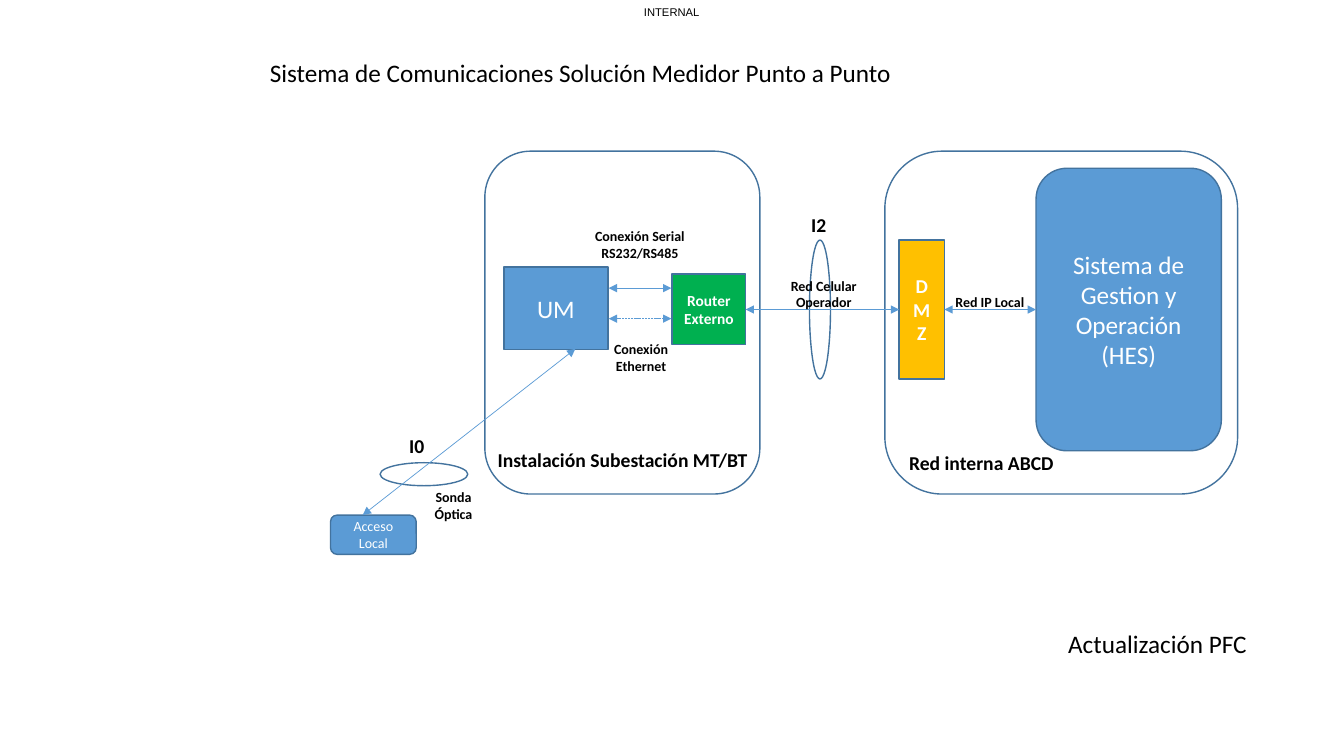
from dataclasses import dataclass

from lxml.etree import SubElement
from pptx import Presentation
from pptx.dml.color import RGBColor
from pptx.enum.dml import MSO_LINE
from pptx.enum.shapes import MSO_CONNECTOR, MSO_SHAPE
from pptx.enum.text import MSO_ANCHOR, MSO_AUTO_SIZE, PP_ALIGN
from pptx.oxml.ns import qn
from pptx.util import Cm, Pt


@dataclass(frozen=True)
class Theme:
    blue: RGBColor = RGBColor(0x5B, 0x9B, 0xD5)
    outline: RGBColor = RGBColor(0x43, 0x73, 0x9E)
    amber: RGBColor = RGBColor(0xFF, 0xC0, 0x00)
    green: RGBColor = RGBColor(0x00, 0xB0, 0x50)
    black: RGBColor = RGBColor(0, 0, 0)
    white: RGBColor = RGBColor(0xFF, 0xFF, 0xFF)
    font: str = "Calibri"
    marking_font: str = "Arial"
    title: int = 18
    heading: int = 14
    device: int = 11
    label: int = 10
    marking: int = 8


theme = Theme()


def write(shape, text, size, color=theme.black, bold=False, font=theme.font,
          align=PP_ALIGN.CENTER, anchor=MSO_ANCHOR.TOP, wrap=True):
    """Fill a shape with text, one paragraph per line."""
    frame = shape.text_frame
    frame.text = text
    frame.word_wrap = wrap
    frame.vertical_anchor = anchor
    for paragraph in frame.paragraphs:
        paragraph.alignment = align
        paragraph.font.size = Pt(size)
        paragraph.font.name = font
        paragraph.font.bold = bold
        paragraph.font.color.rgb = color


def link(start, end):
    """Draw a thin line between two points in cm, with arrowheads at both ends."""
    line = slide.shapes.add_connector(
        MSO_CONNECTOR.STRAIGHT, *(Cm(value) for value in (*start, *end)))
    line.line.color.rgb = theme.blue
    line.line.width = Pt(0.5)
    for arrowhead in ("a:headEnd", "a:tailEnd"):
        SubElement(line.line._get_or_add_ln(), qn(arrowhead), type="triangle")
    SubElement(line._element.spPr, qn("a:effectLst"))
    return line


deck = Presentation()
deck.slide_width, deck.slide_height = Cm(33.87), Cm(19.05)
slide = deck.slides.add_slide(deck.slide_layouts[6])

# Network zones and interface rings, outlined only; components, filled
outlines = [
    (MSO_SHAPE.ROUNDED_RECTANGLE, (22.3, 3.81, 8.89, 8.64)),
    (MSO_SHAPE.ROUNDED_RECTANGLE, (12.22, 3.81, 6.93, 8.64)),
    (MSO_SHAPE.OVAL, (20.4, 6.05, 0.53, 3.5)),
    (MSO_SHAPE.OVAL, (9.58, 11.66, 2.21, 0.58)),
]
components = [
    ("UM", MSO_SHAPE.RECTANGLE, (12.7, 6.73, 2.62, 2.08),
     theme.blue, theme.title, False),
    ("Sistema de Gestion y Operación\n(HES)", MSO_SHAPE.ROUNDED_RECTANGLE,
     (26.11, 4.24, 4.67, 7.12), theme.blue, theme.title, False),
    ("DMZ", MSO_SHAPE.RECTANGLE, (22.66, 6.05, 1.14, 3.5),
     theme.amber, theme.heading, True),
    ("Router Externo", MSO_SHAPE.RECTANGLE, (16.94, 6.91, 1.85, 1.78),
     theme.green, theme.device, True),
    ("Acceso Local", MSO_SHAPE.ROUNDED_RECTANGLE, (8.33, 12.98, 2.16, 0.99),
     theme.blue, theme.label, False),
]
placed = {}
for text, kind, box, fill, size, bold in (
        [("", kind, box, None, theme.label, False) for kind, box in outlines]
        + components):
    part = slide.shapes.add_shape(kind, *(Cm(value) for value in box))
    part.shadow.inherit = False
    part.line.color.rgb = theme.outline
    part.line.width = Pt(1)
    if fill is None:
        part.fill.background()
        continue
    part.fill.solid()
    part.fill.fore_color.rgb = fill
    write(part, text, size, theme.white, bold, anchor=MSO_ANCHOR.MIDDLE)
    placed[text.split()[0]] = part

# Links
axis = 7.8
for source, target, left, right in (
        ("Router", "DMZ", 18.79, 22.66), ("DMZ", "Sistema", 23.8, 26.11)):
    network = link((left, axis), (right, axis))
    network.begin_connect(placed[source], 3)
    network.end_connect(placed[target], 1)

serial = link((15.34, 7.26), (16.92, 7.26))
ethernet = link((15.34, 8.03), (16.92, 8.03))
ethernet.line.dash_style = MSO_LINE.SQUARE_DOT
optical_probe = link((14.5, 8.79), (9.14, 12.98))

# Labels
connection = dict(size=theme.label, bold=True)
heading = dict(size=theme.heading, bold=True, align=PP_ALIGN.LEFT)
title = dict(size=theme.title, align=PP_ALIGN.LEFT, wrap=False)
labels = [
    ("Red IP Local", (23.8, 7.26, 2.29, 0.69), dict(connection, wrap=False)),
    ("Red Celular\nOperador", (19.63, 6.86, 2.26, 1.12),
     dict(connection, wrap=False)),
    ("Conexión Serial RS232/RS485", (14.73, 5.61, 2.79, 1.12), connection),
    ("Conexión Ethernet", (14.76, 8.46, 2.79, 1.12), connection),
    ("Sonda Óptica", (10.31, 12.19, 2.24, 1.12), connection),
    ("Red interna ABCD", (22.66, 11.23, 5.16, 0.86), heading),
    ("Instalación Subestación MT/BT", (12.29, 11.15, 7.42, 0.86), heading),
    ("I2", (20.19, 5.23, 0.89, 0.86), dict(heading, wrap=False)),
    ("I0", (10.06, 10.8, 0.89, 0.86), dict(heading, wrap=False)),
    ("Sistema de Comunicaciones Solución Medidor Punto a Punto",
     (6.55, 1.32, 16.36, 1.02), title),
    ("Actualización PFC", (26.67, 15.72, 5.05, 1.02), title),
]
for text, box, style in labels:
    label = slide.shapes.add_textbox(*(Cm(value) for value in box))
    write(label, text, **style)
    label.text_frame.auto_size = MSO_AUTO_SIZE.SHAPE_TO_FIT_TEXT

# Confidentiality marking
marking = slide.shapes.add_textbox(Cm(15.9), Cm(0), Cm(2.06), Cm(0.61))
write(marking, "INTERNAL", theme.marking, font=theme.marking_font,
      anchor=MSO_ANCHOR.MIDDLE)
frame = marking.text_frame
frame.margin_left = frame.margin_right = frame.margin_top = frame.margin_bottom = 0

deck.save("out.pptx")
